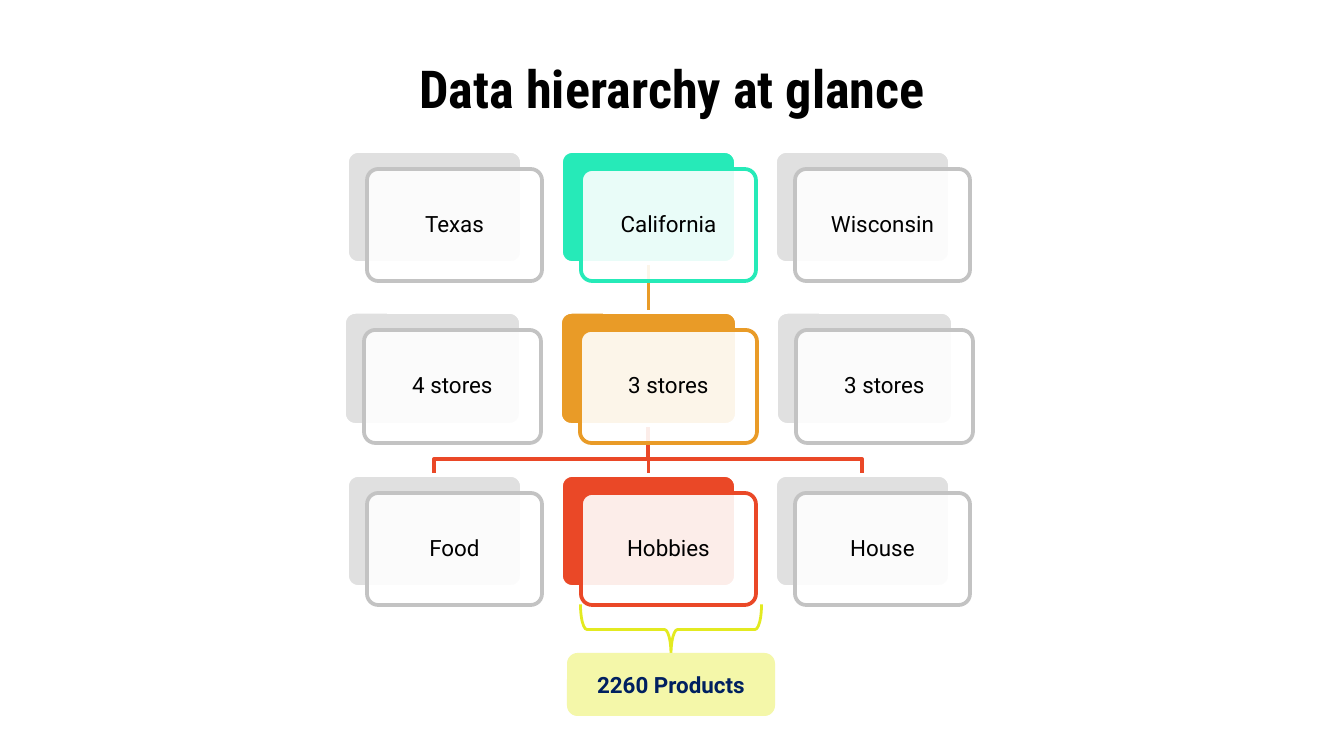
from pptx import Presentation
from pptx.dml.color import RGBColor
from pptx.enum.shapes import MSO_CONNECTOR, MSO_SHAPE
from pptx.enum.text import MSO_ANCHOR, PP_ALIGN
from pptx.oxml.ns import qn
from pptx.util import Pt
from lxml import etree

ROUND = MSO_SHAPE.ROUNDED_RECTANGLE
BRACE = MSO_SHAPE.LEFT_BRACE
STRAIGHT = MSO_CONNECTOR.STRAIGHT
CENTER = PP_ALIGN.CENTER
MIDDLE = MSO_ANCHOR.MIDDLE
TOP, BOTTOM = 0, 2

# Content
TITLE = "Data hierarchy at glance"
TOTAL = "2260 Products"
COLORS = {
    "white": "FFFFFF", "black": "000000", "navy": "002060",
    "gray": "E0E0E0", "edge": "C3C3C3",
    "green": "26EAB8", "orange": "E99B27", "red": "EA4827",
    "lime": "E3EA21", "pale": "F4F7A9",
}
ROWS = [
    {"names": ["Texas", "California", "Wisconsin"], "color": "green",
     "left": 347, "top": 151, "step": 214, "size": (175, 112)},
    {"names": ["4 stores", "3 stores", "3 stores"], "color": "orange",
     "left": 344, "top": 312, "step": 216, "size": (177, 113)},
    {"names": ["Food", "Hobbies", "House"], "color": "red",
     "left": 347, "top": 475, "step": 214, "size": (175, 112)},
]
SHIFT = (20, 18)  # front card against back card
BEND = 459        # height of the branch line

# Slide, 1344 px wide
PX = 9144000 / 1344
prs = Presentation()
prs.slide_width, prs.slide_height = px_size = (round(1344 * PX), round(756 * PX))
slide = prs.slides.add_slide(prs.slide_layouts[5])
shapes = slide.shapes


def px(*vals):
    return [round(v * PX) for v in vals]


def rgb(name):
    return RGBColor.from_string(COLORS[name])


def write(shape, text, size=12, font="Roboto", color="black", bold=False,
          inset=7, space=None):
    frame = shape.text_frame
    frame.word_wrap = True
    frame.vertical_anchor = MIDDLE
    pad = px(inset)[0]
    frame.margin_left = frame.margin_right = pad
    frame.margin_top = frame.margin_bottom = pad
    para = frame.paragraphs[0]
    para.alignment = CENTER
    para.line_spacing = space
    run = para.add_run()
    run.text = text
    run.font.size, run.font.name, run.font.bold = Pt(size), font, bold
    run.font.color.rgb = rgb(color)


def style(shape, fill=None, line=None, width=2, alpha=None):
    shape.shadow.inherit = False
    if fill:
        shape.fill.solid()
        shape.fill.fore_color.rgb = rgb(fill)
    else:
        shape.fill.background()
    if alpha:
        tint = shape._element.spPr.find(qn("a:solidFill")).find(qn("a:srgbClr"))
        etree.SubElement(tint, qn("a:alpha")).set("val", str(alpha * 1000))
    if line:
        shape.line.color.rgb = rgb(line)
        shape.line.width = Pt(width)
    else:
        shape.line.fill.background()


def stem(color):
    line = shapes.add_connector(STRAIGHT, 0, 0, 0, 0)
    line.line.color.rgb = rgb(color)
    line.line.width = Pt(2)
    etree.SubElement(line._element.spPr, qn("a:effectLst"))
    return line


def elbow(points, color):
    path = shapes.build_freeform(*points[0], scale=PX)
    path.add_line_segments(points[1:], close=False)
    style(path.convert_to_shape(), line=color)


def card(x, y, size, text, fill, edge):
    back = shapes.add_shape(ROUND, *px(x, y, *size))
    front = shapes.add_shape(ROUND, *px(x + SHIFT[0], y + SHIFT[1], *size))
    style(back, fill=fill, line="white")
    style(front, fill="white", line=edge, alpha=90)
    for part in (back, front):
        part.adjustments[0] = 0.1
    write(front, text, space=0.9)
    return back


# Title
title = shapes.title
title.left, title.top, title.width, title.height = px(67, 60, 1210, 55)
write(title, TITLE, size=28, font="Roboto Condensed", bold=True, inset=13)

# Links, behind the cards
stores, goods = ROWS[1], ROWS[2]
mid = stores["left"] + stores["step"] + stores["size"][0] / 2
start = stores["top"] + stores["size"][1]
for side in (-1, 1):
    end = mid + side * goods["step"]
    elbow([(mid, start), (mid, BEND), (end, BEND), (end, goods["top"])], "red")
stems = [stem(row["color"]) for row in ROWS[1:]]

# Cards, the middle column in colour
heads = []
for row in ROWS:
    backs = []
    for col, name in enumerate(row["names"]):
        fill, edge = (row["color"],) * 2 if col == 1 else ("gray", "edge")
        x = row["left"] + col * row["step"]
        backs.append(card(x, row["top"], row["size"], name, fill, edge))
    heads.append(backs[1])
for line, upper, lower in zip(stems, heads, heads[1:]):
    line.begin_connect(upper, BOTTOM)
    line.end_connect(lower, TOP)

# Brace and total
brace = shapes.add_shape(BRACE, *px(646, 539, 50, 181))
brace.rotation = 270
brace.adjustments[0], brace.adjustments[1] = 0.13, 0.5
style(brace, line="lime", width=1.5)
total = shapes.add_shape(ROUND, *px(567, 653, 208, 63))
style(total, fill="pale")
write(total, TOTAL, color="navy", bold=True)

prs.save("out.pptx")
